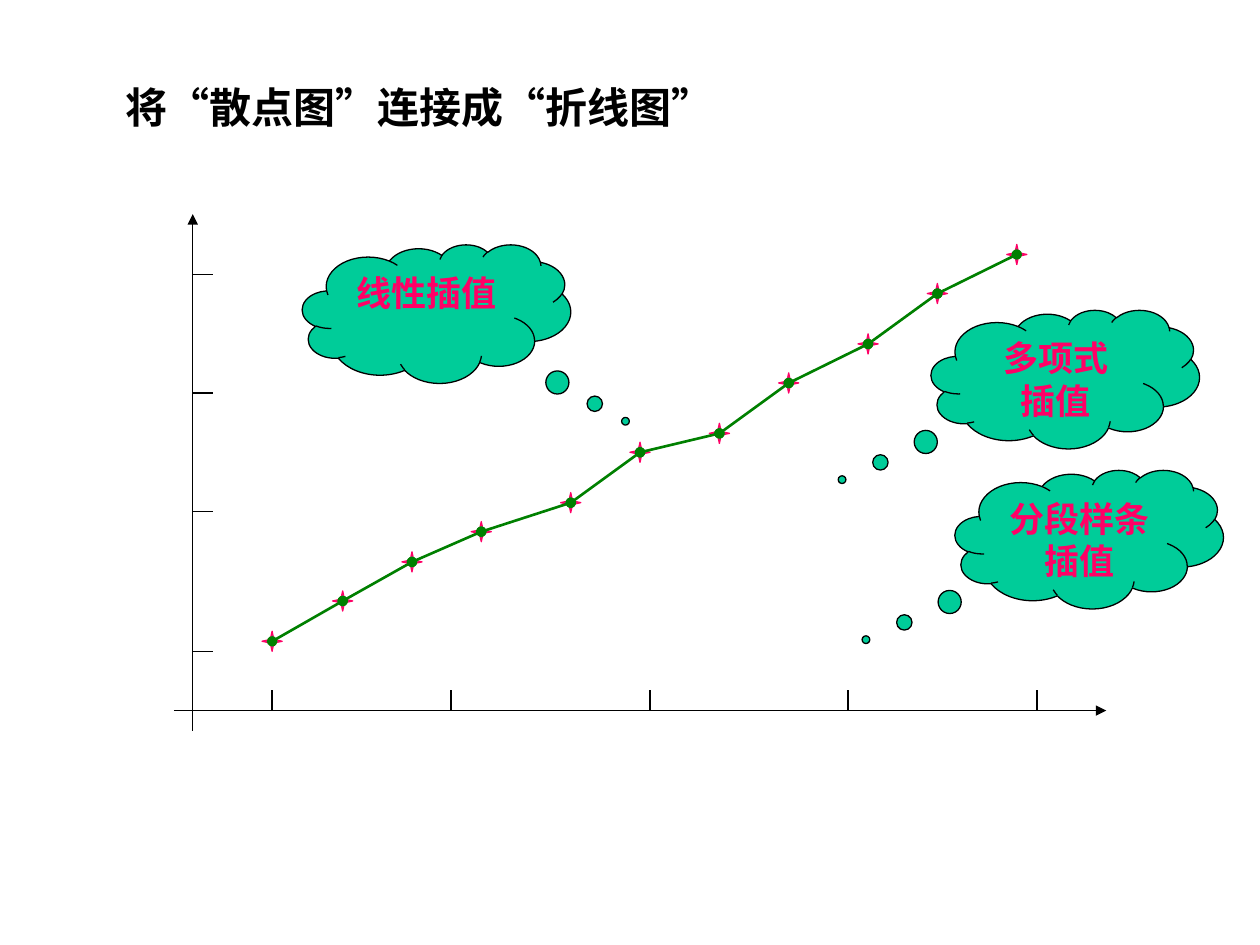
from itertools import pairwise

from lxml import etree
from pptx import Presentation
from pptx.dml.color import RGBColor
from pptx.enum import shapes, text
from pptx.oxml.ns import qn
from pptx.util import Inches, Pt

BLACK = RGBColor(0x00, 0x00, 0x00)
TEAL = RGBColor(0x00, 0xCC, 0x99)
PINK = RGBColor(0xFF, 0x00, 0x66)
GREEN = RGBColor(0x00, 0x80, 0x00)

LATIN, CJK = "Arial", "Noto Sans CJK SC"
ORIGIN_X, ORIGIN_Y = 1.53, 5.64
TICK = STAR = 0.16
X_TICKS = [2.16, 3.58, 5.16, 6.73, 8.23]
Y_TICKS = [2.18, 3.12, 4.06, 5.17]
POINTS = [(2.16, 5.09), (2.72, 4.77), (3.27, 4.46), (3.82, 4.22),
          (4.53, 3.99), (5.08, 3.59), (5.71, 3.44), (6.26, 3.04),
          (6.89, 2.73), (7.44, 2.33), (8.07, 2.02)]
CLOUDS = [
    (2.4, 1.94, (0.704, 0.776), ["线性插值"]),
    (7.39, 2.46, (-0.832, 0.725), ["多项式", "插值"]),
    (7.58, 3.73, (-0.832, 0.725), ["分段样条", "插值"]),
]


def add_run(p, words, size, color, latin=LATIN):
    r = p.add_run()
    r.text = words
    formats = {"size": Pt(size), "bold": True, "name": latin}
    for name, value in formats.items():
        setattr(r.font, name, value)
    r.font.color.rgb = color
    ea = etree.Element(qn("a:ea"), typeface=CJK)
    r.font._element.find(qn("a:latin")).addnext(ea)


def add_title(s):
    tf = s.shapes.add_textbox(Inches(0.9), Inches(0.6),
                              Inches(8), Inches(0.5)).text_frame
    tf.word_wrap = True
    p = tf.paragraphs[0]
    add_run(p, "将“散点图”连接成“折线图", 24, BLACK, CJK)
    add_run(p, "”", 24, BLACK)


def add_line(s, start, end, color=BLACK, width=0.75, head=None, tail=None):
    """Draw a straight line; head and tail are the marks at start and end."""
    sp = s.shapes.add_connector(shapes.MSO_CONNECTOR.STRAIGHT,
                                *map(Inches, start + end))
    sp.line.color.rgb = color
    sp.line.width = Pt(width)
    ln = sp.line._get_or_add_ln()
    for tag, mark in (("a:headEnd", head), ("a:tailEnd", tail)):
        if mark:
            etree.SubElement(ln, qn(tag), type=mark)
    etree.SubElement(sp._element.spPr, qn("a:effectLst"))


def add_outlined(s, kind, box, adjustments, line_color):
    sp = s.shapes.add_shape(kind, *map(Inches, box))
    for i, value in enumerate(adjustments):
        sp.adjustments[i] = value
    sp.shadow.inherit = False
    sp.fill.solid()
    sp.fill.fore_color.rgb = TEAL
    sp.line.color.rgb = line_color
    sp.line.width = Pt(0.75)
    return sp


def add_axes(s):
    add_line(s, (1.38, ORIGIN_Y), (8.78, ORIGIN_Y), tail="triangle")
    add_line(s, (ORIGIN_X, 5.8), (ORIGIN_X, 1.7), tail="triangle")
    for x in X_TICKS:
        add_line(s, (x, ORIGIN_Y), (x, ORIGIN_Y - TICK))
    for y in Y_TICKS:
        add_line(s, (ORIGIN_X, y), (ORIGIN_X + TICK, y))


def add_series(s):
    """Mark every point with a star, then join neighbours."""
    for x, y in POINTS:
        box = (x - STAR / 2, y - STAR / 2, STAR, STAR)
        add_outlined(s, shapes.MSO_SHAPE.STAR_4_POINT, box, [0.125], PINK)
    for start, end in pairwise(POINTS):
        add_line(s, start, end, GREEN, 1.5, head="oval", tail="oval")


def add_cloud(s, left, top, pointer, lines):
    sp = add_outlined(s, shapes.MSO_SHAPE.CLOUD_CALLOUT,
                      (left, top, 2.13, 1.1), pointer, BLACK)
    tf = sp.text_frame
    tf.word_wrap = True
    tf.vertical_anchor = text.MSO_ANCHOR.TOP
    for i, words in enumerate(lines):
        p = tf.add_paragraph() if i else tf.paragraphs[0]
        p.alignment = text.PP_ALIGN.CENTER
        add_run(p, words, 20, PINK)


def main():
    prs = Presentation()
    prs.slide_width, prs.slide_height = Inches(10), Inches(7.5)
    s = prs.slides.add_slide(prs.slide_layouts[6])
    add_title(s)
    add_axes(s)
    add_series(s)
    for cloud in CLOUDS:
        add_cloud(s, *cloud)
    prs.save("out.pptx")


if __name__ == "__main__":
    main()
